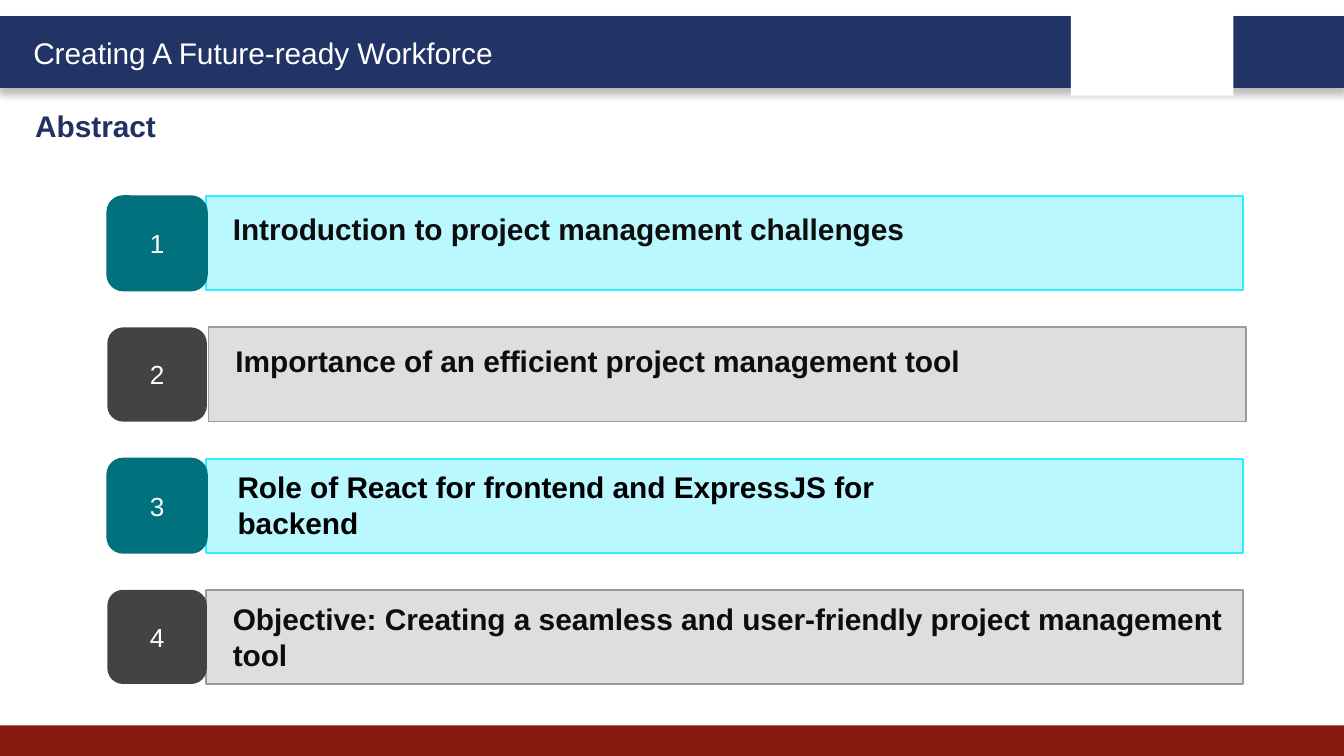
from lxml.etree import SubElement
from pptx import Presentation
from pptx.dml.color import RGBColor
from pptx.enum.shapes import MSO_SHAPE
from pptx.enum.text import MSO_ANCHOR, PP_ALIGN
from pptx.oxml.ns import qn
from pptx.util import Cm, Pt

BANNER = "Creating A Future-ready Workforce"
TITLE = "Abstract"
# text, bar left (cm), bottom inset (cm) that lifts the text in its bar
TOPICS = [
    ("Introduction to project management challenges", 3.89, 0.67),
    ("Importance of an efficient project management tool", 3.94, 0.67),
    ("Role of React for frontend and ExpressJS for backend", 3.89, 0.13),
    ("Objective: Creating a seamless and user-friendly project management tool", 3.89, 0.13),
]
NARROW_TOPIC = 2  # this topic wraps in a narrower box of its own

THEME = {
    "font": "Arial",
    "heading": 16, "number": 14,
    "navy": "223366", "title": "213163", "red": "851910",
    "white": "FFFFFF", "ink": "0D0D0D", "black": "000000",
    "rows": [
        {"bar": "BAF8FF", "edge": "31EBFF", "badge": "00717D", "badge_edge": "00717D"},
        {"bar": "DEDEDE", "edge": "9B9B9B", "badge": "434343", "badge_edge": None},
    ],
}

WIDTH, HEIGHT = 25.4, 14.29
ROW_TOP, ROW_PITCH, ROW_HEIGHT = 3.71, 2.48, 1.78
BAR_WIDTH, BADGE_LEFT, BADGE_WIDTH = 19.61, 2.03, 1.88


def rgb(name):
    return RGBColor.from_string(THEME.get(name, name))


def add_block(page, area, fill, edge=None, edge_width=1, kind=MSO_SHAPE.RECTANGLE):
    block = page.shapes.add_shape(kind, *map(Cm, area))
    block.shadow.inherit = False
    block.fill.solid()
    block.fill.fore_color.rgb = rgb(fill)
    if edge:
        block.line.color.rgb = rgb(edge)
        block.line.width = Pt(edge_width)
    else:
        block.line.fill.background()
    return block


def write(shape, text, color, size="heading", bold=False, align=PP_ALIGN.LEFT,
          **frame_format):
    frame = shape.text_frame
    frame_format = {"word_wrap": True, "vertical_anchor": MSO_ANCHOR.MIDDLE, **frame_format}
    for name, value in frame_format.items():
        setattr(frame, name, value)
    para = frame.paragraphs[0]
    para.alignment = align
    span = para.add_run()
    span.text = text
    span.font.color.rgb = rgb(color)
    for name, value in {"name": THEME["font"], "size": Pt(THEME[size]), "bold": bold}.items():
        setattr(span.font, name, value)


def add_soft_shadow(shape):
    effects = shape.element.spPr.find(qn("a:effectLst"))
    shadow = SubElement(effects, qn("a:outerShdw"), blurRad=str(Pt(4)), dist=str(Pt(3)),
                        dir="5400000", algn="t", rotWithShape="0")
    color = SubElement(shadow, qn("a:srgbClr"), val=THEME["black"])
    SubElement(color, qn("a:alpha"), val="25000")


def add_frame(page):
    """Banner, footer band, blank panel and title."""
    banner = add_block(page, (0, 0.33, WIDTH, 1.3), "navy", "navy", 2)
    add_soft_shadow(banner)
    add_block(page, (0, 13.71, WIDTH, 0.58), "red")
    add_block(page, (20.24, 0.18, 3.07, 1.63), "white")
    label = page.shapes.add_textbox(*map(Cm, (0.38, 0.53, 9.98, 0.94)))
    write(label, BANNER, "white", vertical_anchor=MSO_ANCHOR.TOP)

    title = page.shapes.title
    place = zip(("left", "top", "width", "height"), (0.41, 1.91, 12.19, 0.94))
    for name, value in place:
        setattr(title, name, Cm(value))
    write(title, TITLE, "title", bold=True, vertical_anchor=MSO_ANCHOR.TOP)


def add_topic(page, index, text, left, bottom_inset):
    colors = THEME["rows"][index % 2]
    top = ROW_TOP + index * ROW_PITCH
    bar = add_block(page, (left, top, BAR_WIDTH, ROW_HEIGHT), colors["bar"], colors["edge"])
    if index == NARROW_TOPIC:
        box = page.shapes.add_textbox(*map(Cm, (4.24, top + 0.07, 12.9, 1.63)))
        write(box, text, "black", bold=True, vertical_anchor=MSO_ANCHOR.TOP)
    else:
        write(bar, text, "ink", bold=True,
              margin_left=Cm(0.51), margin_bottom=Cm(bottom_inset))
    badge = add_block(page, (BADGE_LEFT, top, BADGE_WIDTH, ROW_HEIGHT), colors["badge"],
                      colors["badge_edge"], kind=MSO_SHAPE.ROUNDED_RECTANGLE)
    write(badge, str(index + 1), "white", "number", align=PP_ALIGN.CENTER)


def main():
    deck = Presentation()
    deck.slide_width, deck.slide_height = Cm(WIDTH), Cm(HEIGHT)
    page = deck.slides.add_slide(deck.slide_layouts[5])
    add_frame(page)
    for index, topic in enumerate(TOPICS):
        add_topic(page, index, *topic)
    deck.save("out.pptx")


if __name__ == "__main__":
    main()
